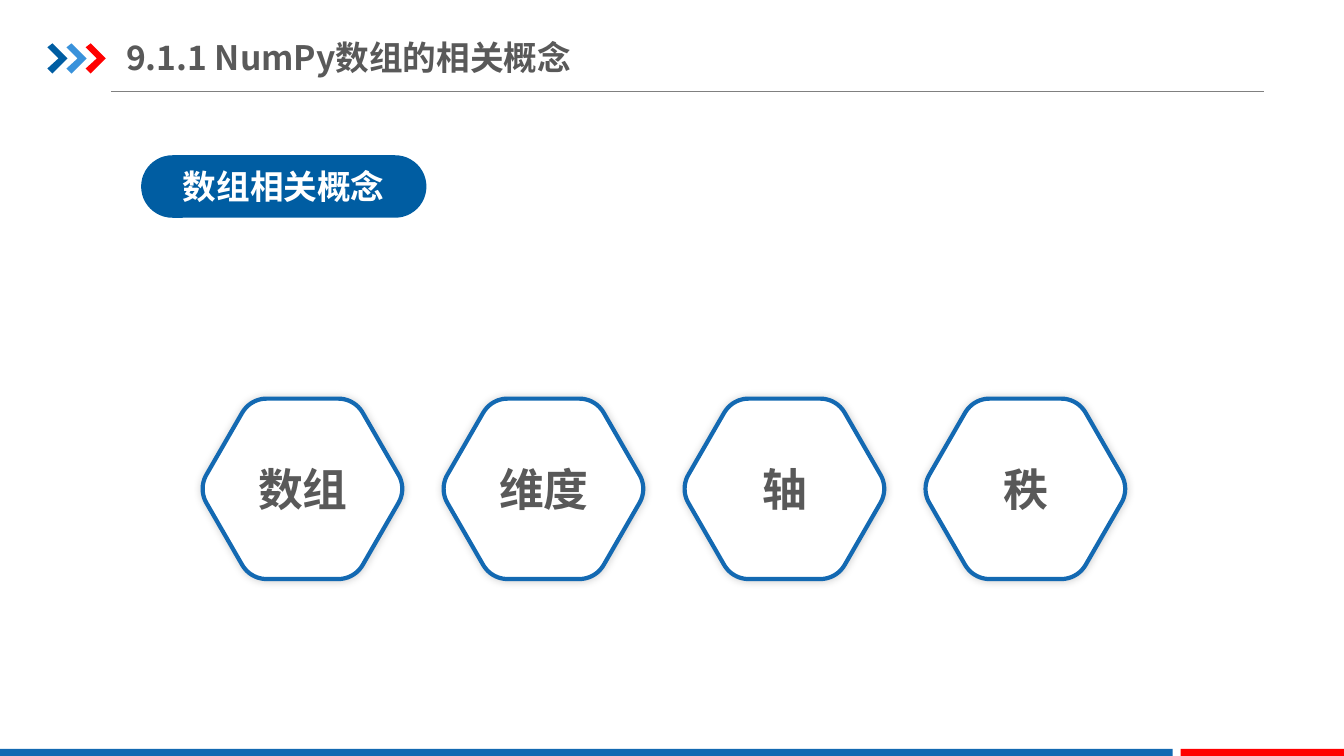
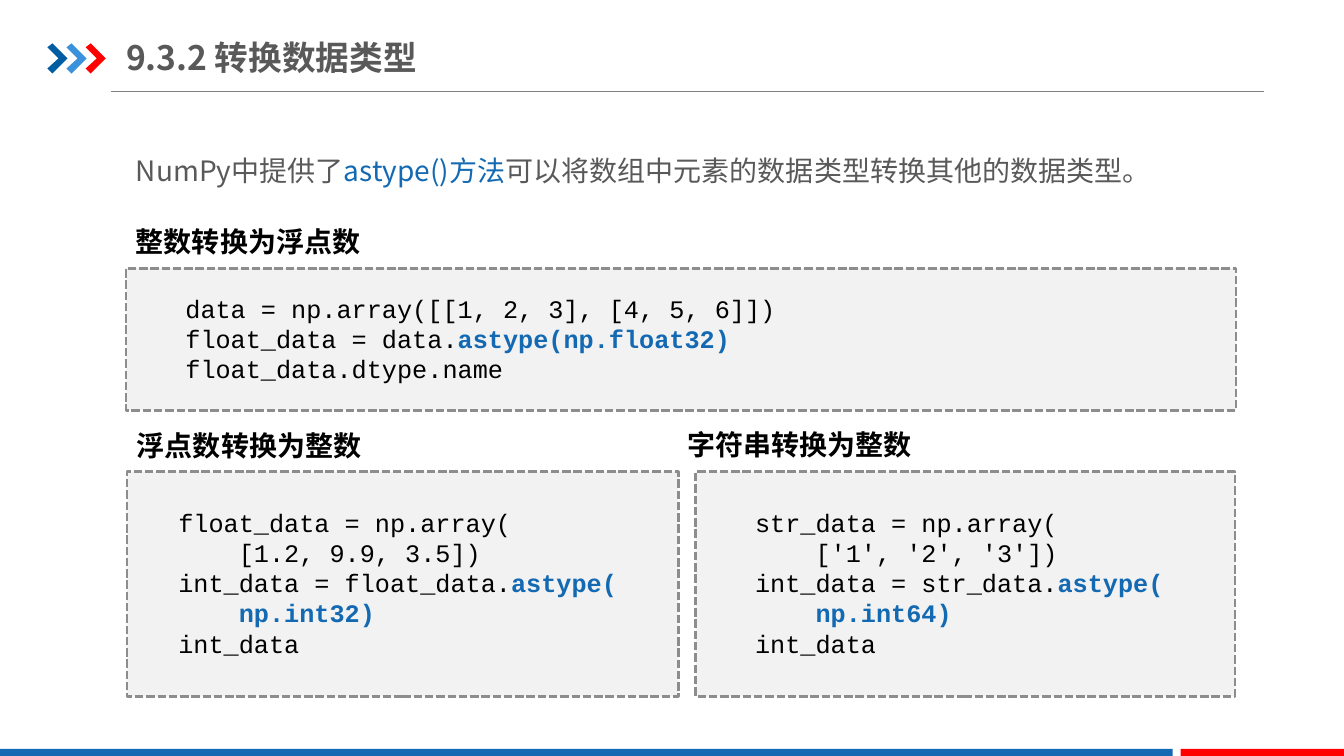
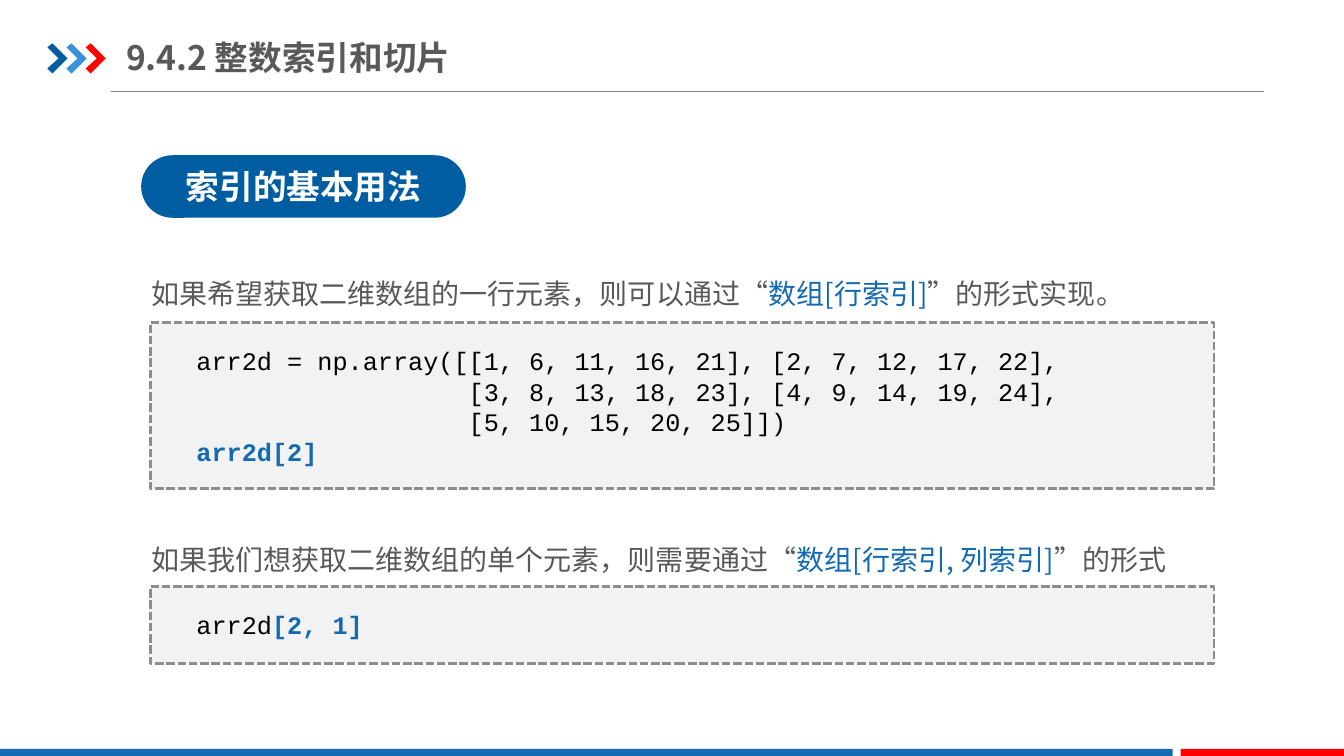
"""Build three NumPy lecture slides with a shared title, rule and footer band."""
from math import cos, radians, sin

from lxml import etree
from pptx import Presentation
from pptx.dml.color import RGBColor
from pptx.enum import dml, shapes, text
from pptx.oxml import ns
from pptx.util import Inches, Pt


class Theme:
    navy = "005DA2"
    blue = "1369B2"
    sky = "3992DB"
    red = "FF0000"
    white = "FFFFFF"
    black = "000000"
    ink = "595959"
    rule = "808080"
    panel = "F2F2F2"
    dash = "8D8D8D"
    sans = "Noto Sans CJK SC"
    mono = "Courier New"
    label_size = 32
    title_size = 24
    body_size = 20
    code_size = 18


def dress(shape, fill, line=None, width=0):
    shape.shadow.inherit = False
    shape.fill.solid()
    shape.fill.fore_color.rgb = RGBColor.from_string(fill)
    if line:
        shape.line.color.rgb = RGBColor.from_string(line)
        shape.line.width = Pt(width)
    else:
        shape.line.fill.background()


def write(frame, lines, size, color, face=Theme.sans, bold=False,
          accent_bold=False, align=text.PP_ALIGN.LEFT, spacing=None):
    """Fill a frame with one paragraph a line; text between bars is accented."""
    frame.word_wrap = True
    for number, line in enumerate(lines.split("\n")):
        para = frame.add_paragraph() if number else frame.paragraphs[0]
        para.alignment = align
        para.line_spacing = spacing
        para.font.size = Pt(size)
        para.font.bold = bold
        para.font.color.rgb = RGBColor.from_string(color)
        para.font.name = face
        defaults = para._p.get_or_add_pPr().find(ns.qn("a:defRPr"))
        etree.SubElement(defaults, ns.qn("a:ea"), typeface=face)
        for position, piece in enumerate(line.split("|")):
            if piece:
                span = para.add_run()
                span.text = piece
                if position % 2:
                    span.font.color.rgb = RGBColor.from_string(Theme.blue)
                    span.font.bold = accent_bold or None


deck = Presentation()
deck.slide_width, deck.slide_height = Inches(13.33), Inches(7.5)

layout = deck.slide_layouts[5]
for holder in list(layout.placeholders):
    if holder.placeholder_format.idx:
        holder.element.getparent().remove(holder.element)
title = layout.placeholders[0]
title.left, title.top = Inches(1.25), Inches(0.29)
title.width, title.height = Inches(4.55), Inches(0.55)
frame = title.text_frame
frame.auto_size = text.MSO_AUTO_SIZE.NONE
frame.vertical_anchor = text.MSO_ANCHOR.MIDDLE
frame.margin_left = frame.margin_right = 0
frame.margin_top = frame.margin_bottom = Inches(0.07)

headings = [
    ("9.1.1 NumPy数组的相关概念", "数组相关概念", 2.83),
    ("9.3.2 转换数据类型", None, 0),
    ("9.4.2 整数索引和切片", "索引的基本用法", 3.22),
]
pages = []
for heading, topic, width in headings:
    page = deck.slides.add_slide(layout)
    pages.append(page)
    write(page.shapes.title.text_frame, heading, Theme.title_size, Theme.ink, bold=True)

concepts, casting, indexing = pages

rule = concepts.shapes.add_connector(
    shapes.MSO_CONNECTOR.STRAIGHT, Inches(1.1), Inches(0.91), Inches(12.54), Inches(0.91))
rule.line.color.rgb = RGBColor.from_string(Theme.rule)
rule.line.width = Pt(0.75)
etree.SubElement(rule.element.spPr, ns.qn("a:effectLst"))
shared = [rule]

chevron = [(0, 0.04), (0.05, 0), (0.2, 0.15), (0.05, 0.3), (0, 0.25), (0.11, 0.15)]
for number, color in enumerate((Theme.navy, Theme.sky, Theme.red)):
    corners = [(Inches(0.47 + 0.19 * number + x), Inches(0.43 + y)) for x, y in chevron]
    builder = concepts.shapes.build_freeform(*corners[0])
    builder.add_line_segments(corners[1:], close=True)
    arrow = builder.convert_to_shape()
    dress(arrow, color)
    shared.append(arrow)

for left, width, color in ((0, 11.63, Theme.blue), (11.71, 1.62, Theme.red)):
    band = concepts.shapes.add_shape(
        shapes.MSO_SHAPE.RECTANGLE, Inches(left), Inches(7.43), Inches(width), Inches(0.09))
    dress(band, color)
    shared.append(band)

for shape in shared:
    layout.shapes.element.append(shape.element)

for page, (heading, topic, width) in zip(pages, headings):
    if topic:
        pill = page.shapes.add_shape(
            shapes.MSO_SHAPE.ROUNDED_RECTANGLE,
            Inches(1.4), Inches(1.54), Inches(width), Inches(0.62))
        pill.adjustments[0] = 0.5
        dress(pill, Theme.navy)
        pill.text_frame.vertical_anchor = text.MSO_ANCHOR.MIDDLE
        write(pill.text_frame, topic, Theme.title_size, Theme.white, bold=True,
              align=text.PP_ALIGN.CENTER)

corner_distance, corner_radius = 0.71, 0.28
middle = 4.85
for number, label in enumerate(("数组", "维度", "轴", "秩")):
    center = 3 + 2.39 * number
    outline = []
    for corner in range(0, 360, 60):
        for turn in range(-30, 31, 5):
            angle, around = radians(corner), radians(corner + turn)
            x = center + corner_distance * cos(angle) + corner_radius * cos(around)
            y = middle + corner_distance * sin(angle) + corner_radius * sin(around)
            outline.append((Inches(x), Inches(y)))
    builder = concepts.shapes.build_freeform(*outline[0])
    builder.add_line_segments(outline[1:], close=True)
    hexagon = builder.convert_to_shape()
    dress(hexagon, Theme.white, Theme.blue, 3)
    effects = hexagon.element.spPr.find(ns.qn("a:effectLst"))
    glow = etree.SubElement(effects, ns.qn("a:outerShdw"),
                            blurRad=str(Pt(6)), dist="0", dir=str(315 * 60000))
    tint = etree.SubElement(glow, ns.qn("a:srgbClr"), val=Theme.black)
    etree.SubElement(tint, ns.qn("a:alpha"), val="20000")

    box = concepts.shapes.add_textbox(
        Inches(center - 0.46), Inches(4.58), Inches(0.93), Inches(0.54))
    frame = box.text_frame
    frame.margin_left = frame.margin_right = frame.margin_top = frame.margin_bottom = 0
    write(frame, label, Theme.label_size, Theme.ink, bold=True, align=text.PP_ALIGN.CENTER)

sentences = [
    (casting, (1.25, 1.31, 10.38, 0.61),
     "NumPy中提供了|astype()方法|可以将数组中元素的数据类型转换其他的数据类型。"),
    (indexing, (1.4, 2.53, 10.71, 0.55),
     "如果希望获取二维数组的一行元素，则可以通过“|数组[行索引]|”的形式实现。"),
    (indexing, (1.4, 5.17, 10.87, 0.61),
     "如果我们想获取二维数组的单个元素，则需要通过“|数组[行索引, 列索引]|”的形式"),
]
for page, place, sentence in sentences:
    box = page.shapes.add_textbox(*map(Inches, place))
    write(box.text_frame, sentence, Theme.body_size, Theme.ink, spacing=1.5)

captions = [
    (1.25, 2.18, "整数转换为浮点数"),
    (1.26, 4.2, "浮点数转换为整数"),
    (6.72, 4.19, "字符串转换为整数"),
]
for left, top, caption in captions:
    box = casting.shapes.add_textbox(Inches(left), Inches(top), Inches(2.6), Inches(0.44))
    write(box.text_frame, caption, Theme.body_size, Theme.black, bold=True)

listings = [
    (casting, (1.25, 2.66, 11.01, 1.41), (1.74, 2.86, 6.21, 1.01),
     """data = np.array([[1, 2, 3], [4, 5, 6]])
float_data = data.|astype(np.float32)|
float_data.dtype.name"""),
    (casting, (1.26, 4.68, 5.47, 2.23), (1.67, 4.98, 4.63, 1.62),
     """float_data = np.array(
    [1.2, 9.9, 3.5])
int_data = float_data.|astype(|
|    np.int32)|
int_data"""),
    (casting, (6.9, 4.68, 5.35, 2.23), (7.39, 4.98, 4.38, 1.62),
     """str_data = np.array(
    ['1', '2', '3'])
int_data = str_data.|astype(|
|    np.int64)|
int_data"""),
    (indexing, (1.49, 3.2, 10.55, 1.65), (1.85, 3.38, 9.16, 1.31),
     """arr2d = np.array([[1, 6, 11, 16, 21], [2, 7, 12, 17, 22],
                  [3, 8, 13, 18, 23], [4, 9, 14, 19, 24],
                  [5, 10, 15, 20, 25]])
|arr2d[2]|"""),
    (indexing, (1.49, 5.82, 10.55, 0.76), (1.85, 6, 7.52, 0.4), "arr2d|[2, 1]|"),
]
for page, panel_place, code_place, code in listings:
    panel = page.shapes.add_shape(shapes.MSO_SHAPE.RECTANGLE, *map(Inches, panel_place))
    dress(panel, Theme.panel, Theme.dash, 2)
    panel.line.dash_style = dml.MSO_LINE.SQUARE_DOT
    box = page.shapes.add_textbox(*map(Inches, code_place))
    write(box.text_frame, code, Theme.code_size, Theme.black, face=Theme.mono,
          accent_bold=True)

deck.save("out.pptx")
